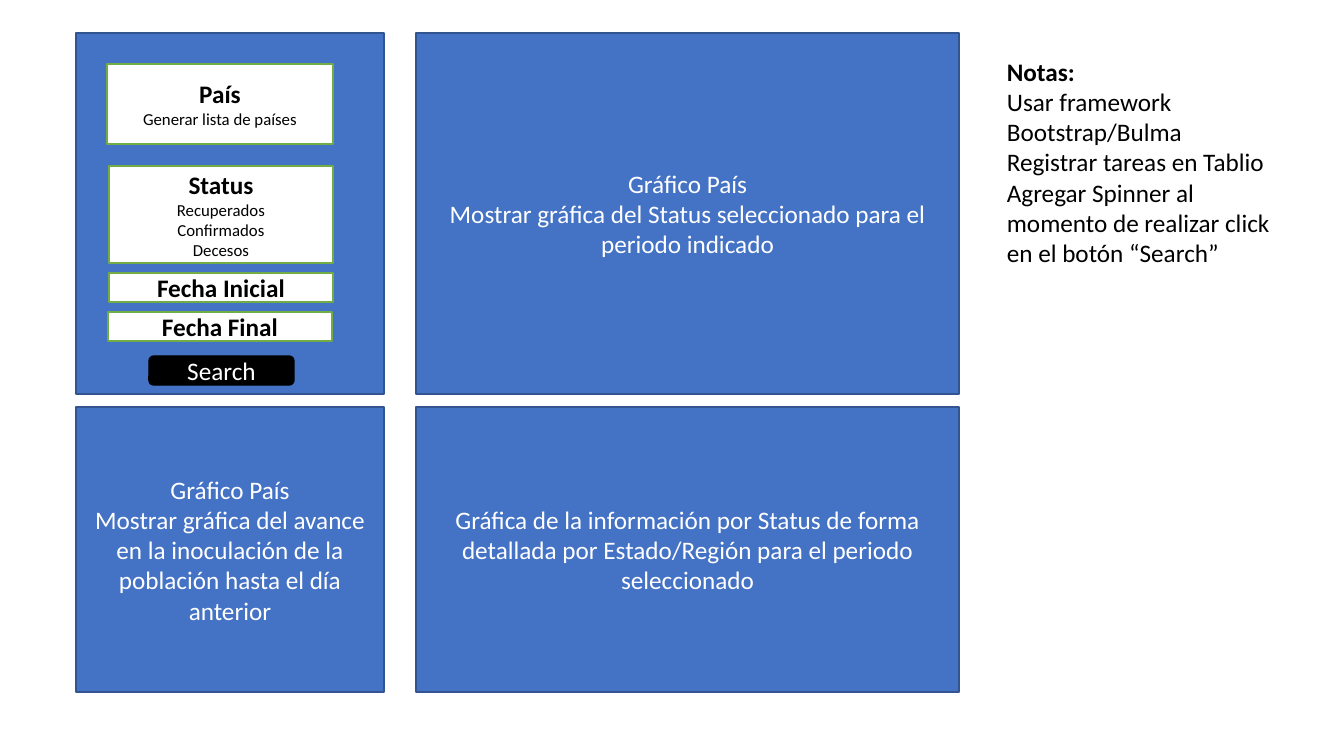
from pptx import Presentation
from pptx.dml.color import RGBColor
from pptx.enum.shapes import MSO_SHAPE as Shape
from pptx.enum.text import MSO_ANCHOR as Anchor, MSO_AUTO_SIZE as AutoSize, PP_ALIGN as Align
from pptx.util import Emu, Pt

SCALE = 914400 / 100.8
FONT = "Calibri"
COLORS = {
    "panel": "4472C4",
    "panel_line": "325491",
    "field_line": "70AD47",
    "white": "FFFFFF",
    "black": "000000",
}
LEFT, MIDDLE = (76, 308), (416, 543)
TOP, BOTTOM = (33, 361), (407, 285)


def px(length):
    return Emu(round(length * SCALE))


def color(name):
    return RGBColor.from_string(COLORS[name])


def write(frame, lines, ink, align):
    frame.word_wrap = True
    for index, (text, size, bold) in enumerate(lines):
        para = frame.paragraphs[0] if index == 0 else frame.add_paragraph()
        para.alignment = align
        span = para.add_run()
        span.text = text
        span.font.name = FONT
        span.font.size = Pt(size)
        span.font.bold = bold
        span.font.color.rgb = color(ink)


def add_box(shapes, place, lines, fill, line, ink, kind=Shape.RECTANGLE):
    box = shapes.add_shape(kind, *map(px, place))
    box.shadow.inherit = False
    box.fill.solid()
    box.fill.fore_color.rgb = color(fill)
    box.line.color.rgb = color(line)
    box.line.width = Pt(1)
    box.text_frame.vertical_anchor = Anchor.MIDDLE
    write(box.text_frame, lines, ink, Align.CENTER)


def add_panel(shapes, column, row, *texts):
    (left, width), (top, height) = column, row
    lines = [(text, 18, False) for text in texts]
    add_box(shapes, (left, top, width, height), lines, "panel", "panel_line", "white")


def add_field(shapes, place, label, *options):
    lines = [(label, 18, True)] + [(option, 12, False) for option in options]
    add_box(shapes, place, lines, "white", "field_line", "black")


def add_search_form(page):
    form = page.shapes.add_group_shape().shapes
    add_panel(form, LEFT, TOP)
    add_field(form, (107, 64, 226, 80), "País", "Generar lista de países")
    add_field(form, (109, 166, 224, 97), "Status", "Recuperados", "Confirmados", "Decesos")
    add_box(form, (149, 356, 145, 29), [("Search", 18, False)],
            "black", "black", "white", Shape.ROUNDED_RECTANGLE)
    add_field(form, (109, 273, 224, 29), "Fecha Inicial")
    add_field(form, (108, 312, 224, 29), "Fecha Final")


def add_notes_text(page):
    box = page.shapes.add_textbox(*map(px, (997, 51, 295, 224)))
    write(box.text_frame, [
        ("Notas:", 18, True),
        ("Usar framework Bootstrap/Bulma", 18, False),
        ("Registrar tareas en Tablio", 18, False),
        ("Agregar Spinner al momento de realizar click en el botón “Search”", 18, False),
    ], "black", Align.LEFT)
    box.text_frame.auto_size = AutoSize.SHAPE_TO_FIT_TEXT


def main():
    deck = Presentation()
    deck.slide_width, deck.slide_height = px(1344), px(756)
    page = deck.slides.add_slide(deck.slide_layouts[6])
    add_panel(page.shapes, LEFT, BOTTOM, "Gráfico País",
              "Mostrar gráfica del avance en la inoculación de la población hasta el día anterior")
    add_panel(page.shapes, MIDDLE, TOP, "Gráfico País",
              "Mostrar gráfica del Status seleccionado para el periodo indicado")
    add_panel(page.shapes, MIDDLE, BOTTOM,
              "Gráfica de la información por Status de forma detallada "
              "por Estado/Región para el periodo seleccionado")
    add_search_form(page)
    add_notes_text(page)
    deck.save("out.pptx")


main()
